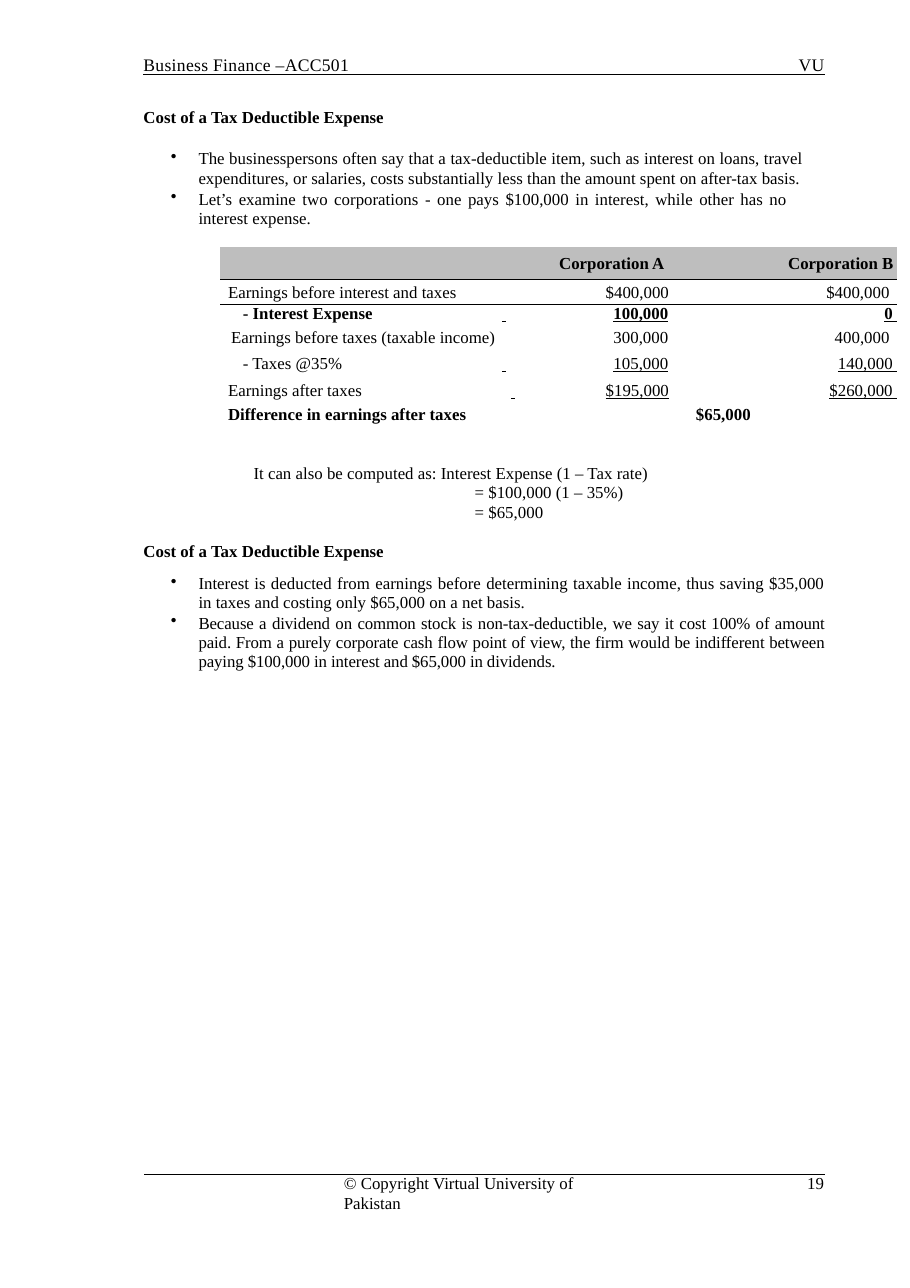
from lxml.etree import SubElement
from pptx import Presentation
from pptx.dml.color import RGBColor
from pptx.enum.shapes import MSO_CONNECTOR
from pptx.enum.text import PP_ALIGN
from pptx.oxml.ns import qn
from pptx.util import Cm, Pt

COLORS = {"ink": "000000", "header": "BEBEBE"}
FONT = "Times New Roman"
NO_STYLE = "{2D5ABB26-0587-4C30-8999-92F81FD0307C}"
LEFT, RIGHT, JUSTIFY, CENTER = PP_ALIGN.LEFT, PP_ALIGN.RIGHT, PP_ALIGN.JUSTIFY, PP_ALIGN.CENTER


def add_box(left, top, width, height, inset=0.05):
    tf = s.shapes.add_textbox(Cm(left), Cm(top), Cm(width), Cm(height)).text_frame
    tf.word_wrap = True
    tf.margin_left = tf.margin_right = tf.margin_bottom = 0
    tf.margin_top = Cm(inset)
    return tf


def write(tf, runs, size=11, bold=False, align=LEFT, indent=0.03, right=0, before=0,
          line=None, bullet=False, tab=None, spacing=0):
    """Add a paragraph of (text, underlined) runs; the first one fills the empty frame."""
    p = tf.paragraphs[0]
    if p.runs:
        p = tf.add_paragraph()
    pPr = p._p.get_or_add_pPr()
    pPr.set("marL", str(Cm(indent)))
    pPr.set("marR", str(Cm(right)))
    if bullet:
        pPr.set("indent", str(Cm(-0.64)))
        SubElement(pPr, qn("a:buChar"), char="•")
    if tab:
        tabs = SubElement(pPr, qn("a:tabLst"))
        SubElement(tabs, qn("a:tab"), pos=str(Cm(tab)), algn="l")
    p.alignment = align
    if before:
        p.space_before = Pt(before)
    if line:
        p.line_spacing = Pt(line)
    for text, underlined in runs:
        r = p.add_run()
        r.text = text
        r.font.name = FONT
        r.font.size = Pt(size)
        r.font.bold = bold
        r.font.underline = underlined
        r.font.color.rgb = RGBColor.from_string(COLORS["ink"])
        if spacing:
            r._r.get_or_add_rPr().set("spc", str(spacing))


prs = Presentation()
prs.slide_width, prs.slide_height = Cm(20.99), Cm(29.72)
s = prs.slides.add_slide(prs.slide_layouts[6])

# Page header and footer
write(add_box(3.28, 1.19, 4.9, 0.58), [("Business Finance –ACC501", False)], size=11.5, spacing=20)
write(add_box(18.39, 1.19, 0.75, 0.58), [("VU", False)], size=11.5, spacing=30)
for x, y, weight in ((3.3, 1.71, 0.75), (3.33, 27.1, 1)):
    rule = s.shapes.add_connector(MSO_CONNECTOR.STRAIGHT, Cm(x), Cm(y), Cm(19.02), Cm(y))
    rule.line.color.rgb = RGBColor.from_string(COLORS["ink"])
    rule.line.width = Pt(weight)
    SubElement(rule._element.spPr, qn("a:effectLst"))
write(add_box(7.9, 27.08, 6.53, 0.51, 0),
      [("© Copyright Virtual University of Pakistan", False)], line=12.8)
write(add_box(18.34, 27.08, 0.8, 0.51, 0), [("19", False)], indent=0.28, line=12.8)

# Opening section
HEADING = "Cost of a Tax Deductible Expense"
tf = add_box(3.28, 2.41, 15.75, 2.84)
write(tf, [(HEADING, False)], bold=True)
for text, right, before in (
    ("The businesspersons often say that a tax-deductible item, such as interest on loans, "
     "travel expenditures, or salaries, costs substantially less than the amount spent on "
     "after-tax basis.", 0.5, 14.5),
    ("Let’s examine two corporations - one pays $100,000 in interest, while other has no "
     "interest expense.", 0.87, 1.1),
):
    write(tf, [(text, False)], align=JUSTIFY, indent=1.3, right=right, before=before,
          line=12.6, bullet=True)

# Earnings table
col_widths = (8.03, 4.85, 2.73)
row_heights = (0.76, 0.58, 0.51, 0.58, 0.61, 0.58, 0.51)
insets = (0.18, 0.08, 0, 0.04, 0.05, 0.07, 0.03)
frame = s.shapes.add_table(7, 3, Cm(5.08), Cm(5.69), Cm(sum(col_widths)), Cm(sum(row_heights)))
table = frame.table
table.first_row = table.horz_banding = False
table._tbl.tblPr.find(qn("a:tableStyleId")).text = NO_STYLE
for column, width in zip(table.columns, col_widths):
    column.width = Cm(width)
for row, height, inset in zip(table.rows, row_heights, insets):
    row.height = Cm(height)
    for cell in row.cells:
        cell.margin_left = cell.margin_right = cell.margin_bottom = 0
        cell.margin_top = Cm(inset)
        cell.fill.background()
table.cell(0, 0).merge(table.cell(0, 1))
table.cell(6, 1).merge(table.cell(6, 2))

write(table.cell(0, 0).text_frame, [("Corporation A", False)], bold=True, align=RIGHT, right=2.63)
write(table.cell(0, 2).text_frame, [("Corporation B", False)], bold=True, indent=0.22)
# label, label indent, tab, A value, A indent, B value, bold
entries = (
    ("Earnings before interest and taxes", 0.18, None, "$400,000", 0.86, "$400,000", False),
    ("- Interest Expense", 0.52, 5.98, "100,000", 1.04, "0", True),
    ("Earnings before taxes (taxable income)", 0.25, None, "300,000", 1.04, "400,000", False),
    ("- Taxes @35%", 0.52, 5.98, "105,000", 1.04, "140,000", False),
    ("Earnings after taxes", 0.18, 6.53, "$195,000", 0.86, "$260,000", False),
)
for i, (label, indent, tab, a, a_indent, b, bold) in enumerate(entries, start=1):
    totalled = tab is not None
    name, first, second = (table.cell(i, j).text_frame for j in range(3))
    label_runs = [(label + "\t", False), (" ", True)] if totalled else [(label, False)]
    write(name, label_runs, bold=bold, indent=indent, tab=tab)
    write(first, [(a, totalled)], bold=bold, indent=a_indent)
    b_runs = [(b, True), (" ", True)] if totalled else [(b, False)]
    write(second, b_runs, bold=bold, align=RIGHT, right=0 if totalled else 0.17)
write(table.cell(6, 0).text_frame, [("Difference in earnings after taxes", False)],
      bold=True, indent=0.18, line=12.9)
write(table.cell(6, 1).text_frame, [("$65,000", False)], bold=True, align=CENTER, right=0.46, line=12.9)

for i in range(2):
    for cell in table.rows[i].cells:
        tcPr = cell._tc.get_or_add_tcPr()
        border = tcPr.makeelement(qn("a:lnB"), {"w": str(Pt(0.75))})
        SubElement(SubElement(border, qn("a:solidFill")), qn("a:srgbClr"), val=COLORS["ink"])
        tcPr.insert(0, border)
for cell in table.rows[0].cells:
    cell.fill.solid()
    cell.fill.fore_color.rgb = RGBColor.from_string(COLORS["header"])

# Closing section
tf = add_box(3.28, 10.65, 15.75, 4.83)
for text, indent, line in (
    ("It can also be computed as: Interest Expense (1 – Tax rate)", 2.57, 12.7),
    ("= $100,000 (1 – 35%)", 7.67, 12.4),
    ("= $65,000", 7.67, 12.9),
):
    write(tf, [(text, False)], indent=indent, line=line)
write(tf, [(HEADING, False)], bold=True, before=12.4)
for text, before, spacing in (
    ("Interest is deducted from earnings before determining taxable income, thus saving $35,000 "
     "in taxes and costing only $65,000 on a net basis.", 8.9, 0),
    ("Because a dividend on common stock is non-tax-deductible, we say it cost 100% of amount "
     "paid. From a purely corporate cash flow point of view, the firm would be indifferent "
     "between paying $100,000 in interest and $65,000 in dividends.", 1.4, -8),
):
    write(tf, [(text, False)], align=JUSTIFY, indent=1.3, before=before, line=12.3,
          bullet=True, spacing=spacing)

prs.save("out.pptx")
